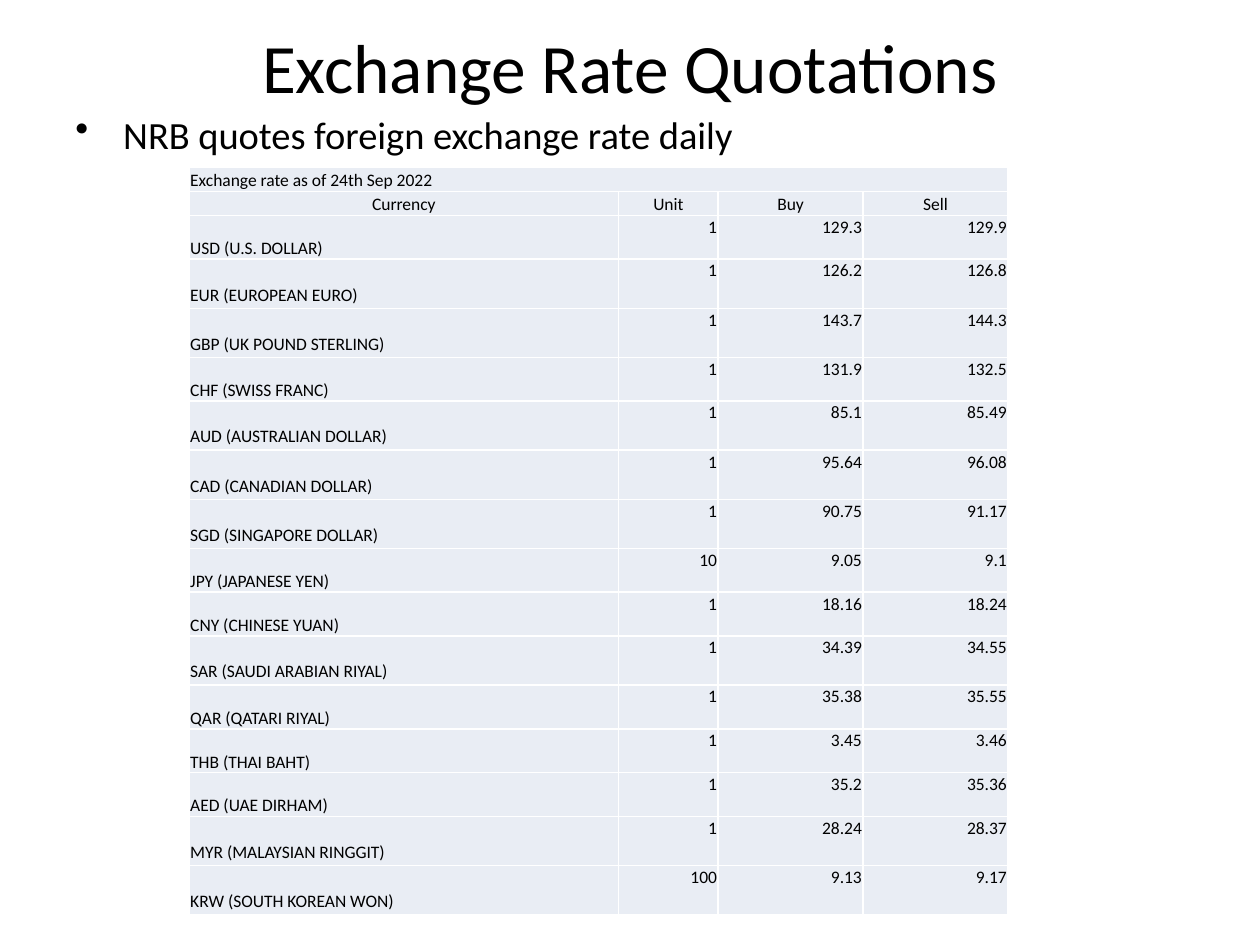
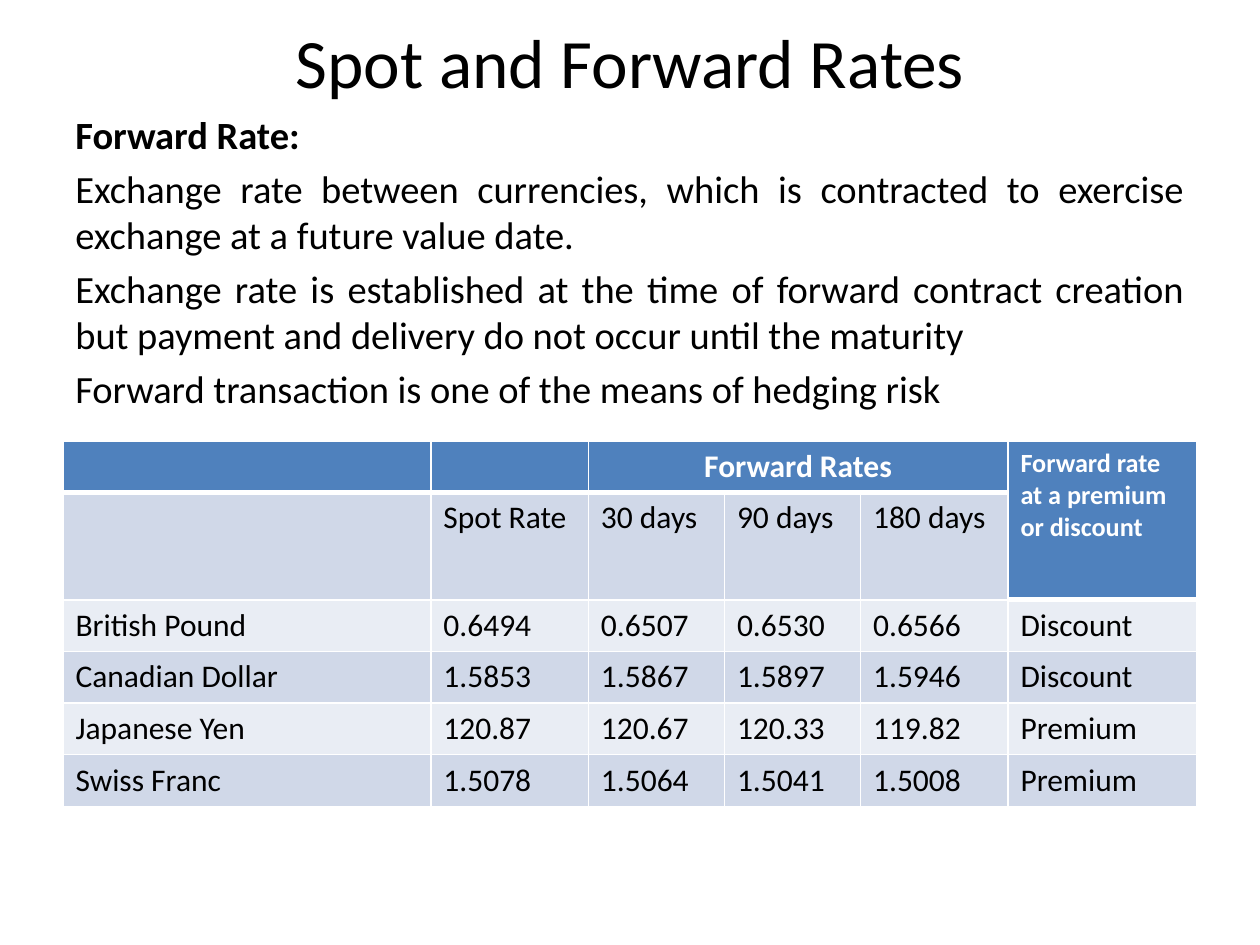
import pptx
import pptx.dml.color
import pptx.enum.text
import pptx.oxml
import pptx.oxml.ns
import pptx.util
from pptx.util import Inches

COLORS = {"ink": "000000", "white": "FFFFFF", "header": "4F81BD",
          "band": "D0D8E8", "pale": "E9EDF4"}
FONT = "Calibri"
ALIGN = pptx.enum.text.PP_ALIGN
ANCHOR = pptx.enum.text.MSO_ANCHOR


def rgb(name):
    return pptx.dml.color.RGBColor.from_string(COLORS[name])


def set_font(paragraph, size, color="ink", bold=False):
    paragraph.font.name = FONT
    paragraph.font.size = pptx.util.Pt(size)
    paragraph.font.bold = bold
    paragraph.font.color.rgb = rgb(color)


def add_titled_slide(presentation, title, height):
    slide = presentation.slides.add_slide(presentation.slide_layouts[5])
    shape = slide.shapes.title
    shape.left, shape.top = Inches(0.5), Inches(0.3)
    shape.width, shape.height = Inches(9), Inches(height)
    frame = shape.text_frame
    frame.text = title
    frame.auto_size = pptx.enum.text.MSO_AUTO_SIZE.NONE
    frame.vertical_anchor = ANCHOR.MIDDLE
    frame.paragraphs[0].alignment = ALIGN.CENTER
    set_font(frame.paragraphs[0], 39.6)
    return slide


def add_body(slide, left, top, width, height, lines):
    """Each line is (text, alignment, bold, bulleted)."""
    shape = slide.shapes.add_textbox(Inches(left), Inches(top), Inches(width), Inches(height))
    frame = shape.text_frame
    frame.word_wrap = True
    for index, (text, alignment, bold, bulleted) in enumerate(lines):
        paragraph = frame.add_paragraph() if index else frame.paragraphs[0]
        paragraph.text = text
        paragraph.alignment = alignment
        paragraph.space_before = pptx.util.Pt(4.4)
        set_font(paragraph, 22, bold=bold)
        if bulleted:
            properties = paragraph._p.get_or_add_pPr()
            properties.set("marL", str(Inches(0.38)))
            properties.set("indent", str(-Inches(0.38)))
            bullet = pptx.oxml.parse_xml(
                '<a:buChar %s char="\u2022"/>' % pptx.oxml.ns.nsdecls("a"))
            properties.insert_element_before(bullet, "a:tabLst", "a:defRPr", "a:extLst")


def add_grid(slide, left, top, widths, heights):
    shape = slide.shapes.add_table(len(heights), len(widths), Inches(left), Inches(top),
                                   Inches(sum(widths)), Inches(sum(heights)))
    table = shape.table
    table.first_row = table.horz_banding = False
    for column, width in zip(table.columns, widths):
        column.width = Inches(width)
    for row, height in zip(table.rows, heights):
        row.height = Inches(height)
    return table


def style_cell(cell, fill, top_edge=False, bottom_width=1):
    """White edges first, then the fill, as the schema orders them."""
    properties = cell._tc.get_or_add_tcPr()
    edges = [("lnL", 1), ("lnR", 1), ("lnT", 1), ("lnB", bottom_width)]
    for edge, width in edges:
        if edge == "lnT" and not top_edge:
            continue
        properties.append(pptx.oxml.parse_xml(
            '<a:%s %s w="%d"><a:solidFill><a:srgbClr val="%s"/></a:solidFill></a:%s>'
            % (edge, pptx.oxml.ns.nsdecls("a"), pptx.util.Pt(width), COLORS["white"], edge)))
    cell.fill.solid()
    cell.fill.fore_color.rgb = rgb(fill)


def write_cell(cell, text, size, alignment=ALIGN.LEFT, color="ink", bold=False):
    cell.text = text
    paragraph = cell.text_frame.paragraphs[0]
    paragraph.alignment = alignment
    set_font(paragraph, size, color, bold)


def add_quotation_table(slide, left, top):
    quotes = [
        ("USD", "U.S. DOLLAR", "1", "129.3", "129.9"),
        ("EUR", "EUROPEAN EURO", "1", "126.2", "126.8"),
        ("GBP", "UK POUND STERLING", "1", "143.7", "144.3"),
        ("CHF", "SWISS FRANC", "1", "131.9", "132.5"),
        ("AUD", "AUSTRALIAN DOLLAR", "1", "85.1", "85.49"),
        ("CAD", "CANADIAN DOLLAR", "1", "95.64", "96.08"),
        ("SGD", "SINGAPORE DOLLAR", "1", "90.75", "91.17"),
        ("JPY", "JAPANESE YEN", "10", "9.05", "9.1"),
        ("CNY", "CHINESE YUAN", "1", "18.16", "18.24"),
        ("SAR", "SAUDI ARABIAN RIYAL", "1", "34.39", "34.55"),
        ("QAR", "QATARI RIYAL", "1", "35.38", "35.55"),
        ("THB", "THAI BAHT", "1", "3.45", "3.46"),
        ("AED", "UAE DIRHAM", "1", "35.2", "35.36"),
        ("MYR", "MALAYSIAN RINGGIT", "1", "28.24", "28.37"),
        ("KRW", "SOUTH KOREAN WON", "100", "9.13", "9.17"),
    ]
    rows = [("Exchange rate as of 24th Sep 2022", "", "", ""),
            ("Currency", "Unit", "Buy", "Sell")]
    rows += [("%s\u00a0(%s)" % (code, name), *values) for code, name, *values in quotes]
    # Longer currency names get taller rows
    heights = [0.19, 0.19] + [0.39 if len(name) > 12 else 0.26 for _, name, *_ in quotes]
    table = add_grid(slide, left, top, [3.41, 0.79, 1.15, 1.15], heights)
    table.cell(0, 0).merge(table.cell(0, 3))
    for row, values in enumerate(rows):
        for column, value in enumerate(values):
            cell = table.cell(row, column)
            style_cell(cell, "pale", top_edge=row == 0)
            cell.margin_left = cell.margin_right = cell.margin_top = Inches(0.01)
            cell.margin_bottom = 0
            alignment = ALIGN.LEFT
            if row == 0:
                cell.vertical_anchor = ANCHOR.MIDDLE
            elif row == 1:
                cell.vertical_anchor = ANCHOR.BOTTOM
                alignment = ALIGN.CENTER
            elif column == 0:
                # Names sit one line lower than the figures
                cell.vertical_anchor = ANCHOR.MIDDLE
                cell.margin_top = Inches(0.18)
            else:
                alignment = ALIGN.RIGHT
            write_cell(cell, value, 10, alignment)


def add_forward_table(slide, left, top):
    rows = [
        ("", "", "Forward Rates", "", "", "Forward rate at a premium or discount"),
        ("", "Spot Rate", "30 days", "90 days", "180 days", ""),
        ("British Pound", "0.6494", "0.6507", "0.6530", "0.6566", "Discount"),
        ("Canadian Dollar", "1.5853", "1.5867", "1.5897", "1.5946", "Discount"),
        ("Japanese Yen", "120.87", "120.67", "120.33", "119.82", "Premium"),
        ("Swiss Franc", "1.5078", "1.5064", "1.5041", "1.5008", "Premium"),
    ]
    table = add_grid(slide, left, top, [2.92, 1.25, 1.08, 1.08, 1.17, 1.5], [0.41] * len(rows))
    table.cell(0, 2).merge(table.cell(0, 4))
    table.cell(0, 5).merge(table.cell(1, 5))
    for row, values in enumerate(rows):
        for column, value in enumerate(values):
            cell = table.cell(row, column)
            header = row == 0 or (row == 1 and column == 5)
            fill = "header" if header else ("band" if row % 2 else "pale")
            style_cell(cell, fill, top_edge=row == 0, bottom_width=3 if header else 1)
            write_cell(cell, value, 15 if header and column == 5 else 18,
                       ALIGN.CENTER if header and column == 2 else ALIGN.LEFT,
                       "white" if header else "ink", header)


def build_quotations_slide(presentation):
    slide = add_titled_slide(presentation, "Exchange Rate Quotations", 0.45)
    add_body(slide, 0.5, 0.83, 9, 6.25,
             [("NRB quotes foreign exchange rate daily", ALIGN.LEFT, False, True)])
    add_quotation_table(slide, 1.5, 1.33)


def build_forward_slide(presentation):
    slide = add_titled_slide(presentation, "Spot and Forward Rates", 0.37)
    add_body(slide, 0.5, 0.83, 9, 6.33, [
        ("Forward Rate:", ALIGN.LEFT, True, False),
        ("Exchange rate between currencies, which is contracted to exercise exchange "
         "at a future value date.", ALIGN.JUSTIFY, False, False),
        ("Exchange rate is established at the time of forward contract creation but "
         "payment and delivery do not occur until the maturity", ALIGN.JUSTIFY, False, False),
        ("Forward transaction is one of the means of hedging risk",
         ALIGN.JUSTIFY, False, False),
    ])
    add_forward_table(slide, 0.5, 3.5)


presentation = pptx.Presentation()
presentation.slide_width, presentation.slide_height = Inches(10), Inches(7.5)
build_quotations_slide(presentation)
build_forward_slide(presentation)
presentation.save("out.pptx")
